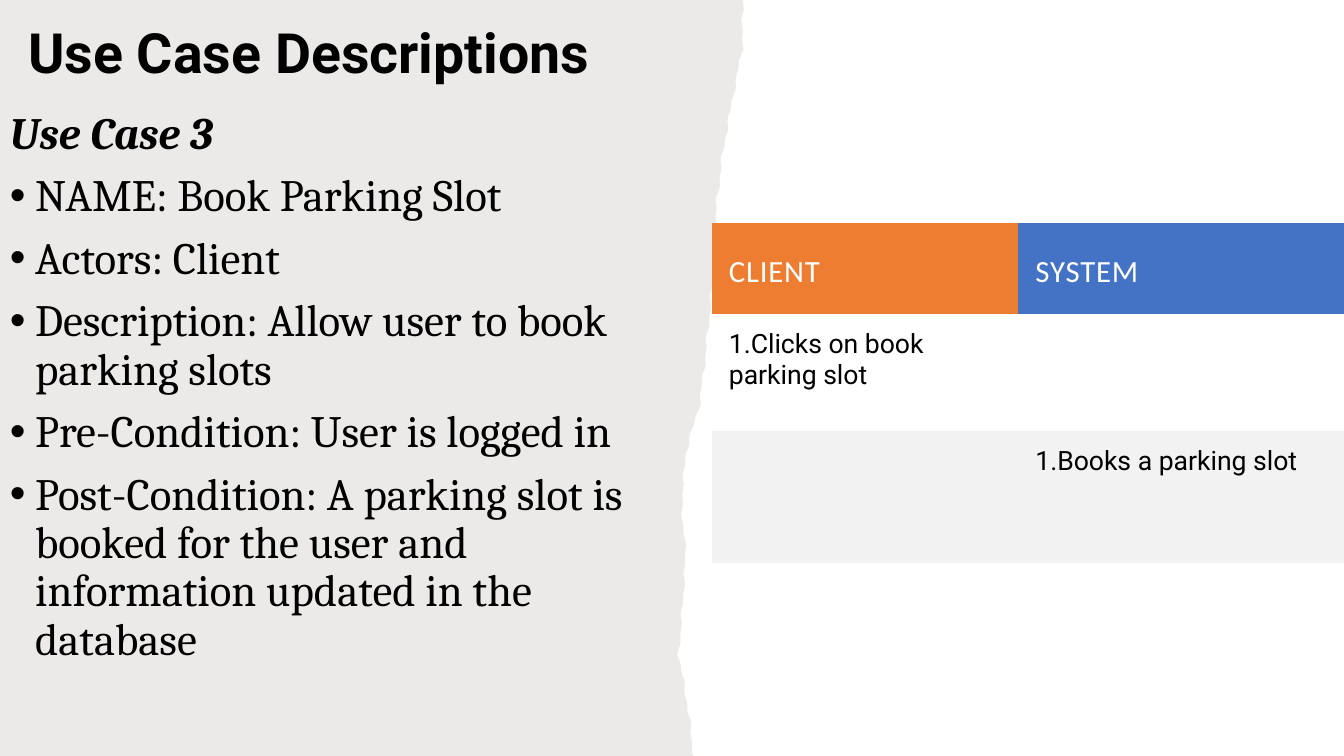
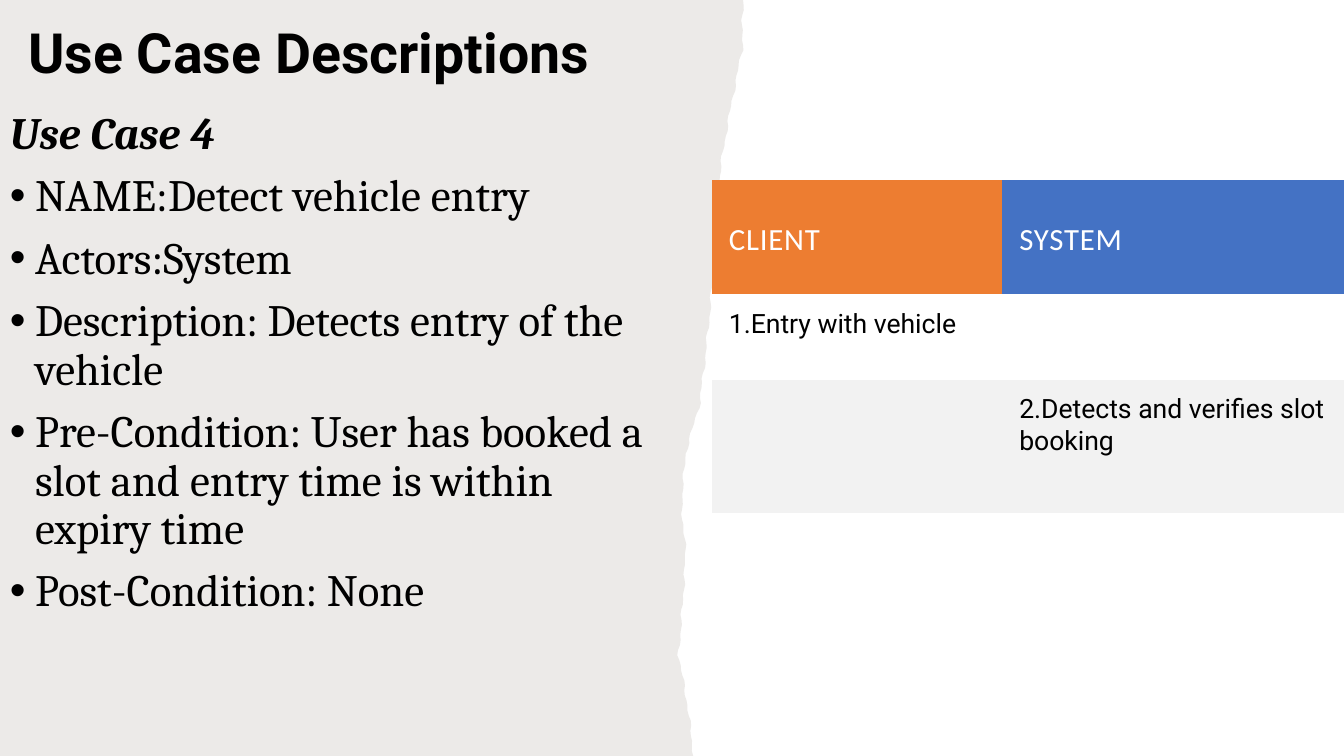
from math import sin

from lxml import etree
from pptx import Presentation
from pptx.dml.color import RGBColor
from pptx.enum import text as text_enums
from pptx.oxml.ns import qn
from pptx.util import Inches, Pt

# Content
TITLE = "Use Case Descriptions"
HEADERS = ["CLIENT", "SYSTEM"]
USE_CASES = [
    {
        "heading": "Use Case 3",
        "points": [
            "NAME: Book Parking Slot",
            "Actors: Client",
            "Description: Allow user to book parking slots",
            "Pre-Condition: User is logged in",
            "Post-Condition: A parking slot is booked for the user and "
            "information updated in the database",
        ],
        "client_step": "1.Clicks on book parking slot",
        "system_step": "1.Books a parking slot",
        "table_top": 2.21,
        "client_width": 3.04,
        "row_heights": [0.91, 1.16, 1.31],
    },
    {
        "heading": "Use Case 4",
        "points": [
            "NAME:Detect vehicle entry",
            "Actors:System",
            "Description: Detects entry of the vehicle",
            "Pre-Condition: User has booked a slot and entry time is within expiry time",
            "Post-Condition: None",
        ],
        "client_step": "1.Entry with vehicle",
        "system_step": "2.Detects and verifies slot booking",
        "table_top": 1.79,
        "client_width": 2.88,
        "row_heights": [1.13, 0.85, 1.32],
    },
]

# Colours
BLACK = RGBColor(0x00, 0x00, 0x00)
WHITE = RGBColor(0xFF, 0xFF, 0xFF)
TAUPE = RGBColor(0x82, 0x76, 0x6A)
ORANGE = RGBColor(0xED, 0x7D, 0x31)
BLUE = RGBColor(0x44, 0x72, 0xC4)
PALE_GREY = RGBColor(0xF2, 0xF2, 0xF2)

# Text styles
TITLE_STYLE = {"font": "Roboto", "size": 39.6, "bold": True}
HEADING_STYLE = {"font": "Cambria", "size": 32, "bold": True, "italic": True}
POINT_STYLE = {"font": "Cambria", "size": 32}
HEADER_STYLE = {"font": "Calibri", "size": 22, "color": WHITE, "tracking": 0.6}
STEP_STYLE = {"font": "Roboto", "size": 19}
LINE_SPACING = 0.9
POINT_GAP = Pt(10)
BULLET_INDENT = Inches(0.25)

# Layout in inches
SLIDE_WIDTH, SLIDE_HEIGHT = 13.33, 7.5
TITLE_AREA = (0.18, 0, 6.36, 1.11)
DESCRIPTION_AREA = (0, 1.05, 6.71, 6.02)
TABLE_LEFT, TABLE_WIDTH = 7.06, 6.27
CELL_MARGINS = {"left": 0.17, "top": 0.14, "right": 0.17, "bottom": 0.08}
PLAIN_TABLE_STYLE = "{2D5ABB26-0587-4C30-8999-92F81FD0307C}"

# Torn panel: width at every half inch down the slide, roughened in between
PANEL_OPACITY = 15
PANEL_WIDTHS = [7.37, 7.36, 7.26, 7.17, 7.11, 7.08, 7.05, 7.00,
                6.94, 6.80, 6.76, 6.80, 6.77, 6.73, 6.82, 6.88]
WIDTH_STEP = 0.5
TEARS_PER_STEP = 10
TEAR_DEPTH = 0.015


def write(paragraph, text, font="Roboto", size=19, color=BLACK, bold=False,
          italic=False, tracking=0):
    run = paragraph.add_run()
    run.text = text
    run.font.name = font
    run.font.size = Pt(size)
    run.font.color.rgb = color
    run.font.bold = bold
    run.font.italic = italic
    if tracking:
        run.font._element.set("spc", str(round(tracking * 100)))


def add_bullet(paragraph):
    properties = paragraph._p.get_or_add_pPr()
    properties.set("marL", str(BULLET_INDENT))
    properties.set("indent", str(-BULLET_INDENT))
    etree.SubElement(properties, qn("a:buFont")).set("typeface", "Arial")
    etree.SubElement(properties, qn("a:buChar")).set("char", "•")


def fill_with(target, color):
    if color is None:
        target.fill.background()
    else:
        target.fill.solid()
        target.fill.fore_color.rgb = color


def add_title(slide):
    title = slide.shapes.title
    title.left, title.top, title.width, title.height = map(Inches, TITLE_AREA)
    frame = title.text_frame
    frame.auto_size = text_enums.MSO_AUTO_SIZE.NONE
    frame.vertical_anchor = text_enums.MSO_ANCHOR.MIDDLE
    paragraph = frame.paragraphs[0]
    paragraph.alignment = text_enums.PP_ALIGN.LEFT
    paragraph.line_spacing = LINE_SPACING
    write(paragraph, TITLE, **TITLE_STYLE)


def torn_edge():
    """Points from top to bottom: straight between widths, plus a small wobble."""
    points = []
    for tear in range((len(PANEL_WIDTHS) - 1) * TEARS_PER_STEP + 1):
        step, part = divmod(tear, TEARS_PER_STEP)
        upper = PANEL_WIDTHS[step]
        lower = PANEL_WIDTHS[min(step + 1, len(PANEL_WIDTHS) - 1)]
        y = tear * WIDTH_STEP / TEARS_PER_STEP
        wobble = TEAR_DEPTH * sin(23 * y) * sin(9 * y)
        points.append((upper + (lower - upper) * part / TEARS_PER_STEP + wobble, y))
    return points


def add_torn_panel(slide):
    outline = torn_edge() + [(0, SLIDE_HEIGHT)]
    builder = slide.shapes.build_freeform(0, 0)
    builder.add_line_segments([(Inches(x), Inches(y)) for x, y in outline], close=True)
    panel = builder.convert_to_shape()
    panel.shadow.inherit = False
    panel.line.fill.background()
    fill_with(panel, TAUPE)
    color = panel.element.spPr.find(qn("a:solidFill"))[0]
    etree.SubElement(color, qn("a:alpha")).set("val", str(PANEL_OPACITY * 1000))
    # The panel lies behind the title
    slide.shapes.title.element.addprevious(panel.element)


def add_description(slide, heading, points):
    frame = slide.shapes.add_textbox(*map(Inches, DESCRIPTION_AREA)).text_frame
    frame.word_wrap = True
    first = frame.paragraphs[0]
    first.line_spacing = LINE_SPACING
    write(first, heading, **HEADING_STYLE)
    for point in points:
        paragraph = frame.add_paragraph()
        paragraph.line_spacing = LINE_SPACING
        paragraph.space_before = POINT_GAP
        add_bullet(paragraph)
        write(paragraph, point, **POINT_STYLE)


def format_cell(cell, words, fill, style, anchor):
    for side, margin in CELL_MARGINS.items():
        setattr(cell, f"margin_{side}", Inches(margin))
    cell.vertical_anchor = anchor
    fill_with(cell, fill)
    if words:
        write(cell.text_frame.paragraphs[0], words, **style)


def add_steps_table(slide, case):
    top, middle = text_enums.MSO_ANCHOR.TOP, text_enums.MSO_ANCHOR.MIDDLE
    # Each row: words, fills, text style, anchor
    rows = [
        (HEADERS, [ORANGE, BLUE], HEADER_STYLE, middle),
        ([case["client_step"], ""], [None, None], STEP_STYLE, top),
        (["", case["system_step"]], [PALE_GREY, PALE_GREY], STEP_STYLE, top),
    ]
    heights = case["row_heights"]
    widths = [case["client_width"], TABLE_WIDTH - case["client_width"]]
    area = (TABLE_LEFT, case["table_top"], TABLE_WIDTH, sum(heights))
    frame = slide.shapes.add_table(len(rows), len(widths), *map(Inches, area))
    next(frame.element.iter(qn("a:tableStyleId"))).text = PLAIN_TABLE_STYLE
    table = frame.table
    table.first_row = table.horz_banding = False
    for column, width in zip(table.columns, widths):
        column.width = Inches(width)
    for row, height, (words, fills, style, anchor) in zip(table.rows, heights, rows):
        row.height = Inches(height)
        for cell, cell_words, fill in zip(row.cells, words, fills):
            format_cell(cell, cell_words, fill, style, anchor)


def main():
    presentation = Presentation()
    presentation.slide_width = Inches(SLIDE_WIDTH)
    presentation.slide_height = Inches(SLIDE_HEIGHT)
    title_only = presentation.slide_layouts.get_by_name("Title Only")
    for case in USE_CASES:
        slide = presentation.slides.add_slide(title_only)
        add_title(slide)
        add_torn_panel(slide)
        add_description(slide, case["heading"], case["points"])
        add_steps_table(slide, case)
    presentation.save("out.pptx")


if __name__ == "__main__":
    main()
